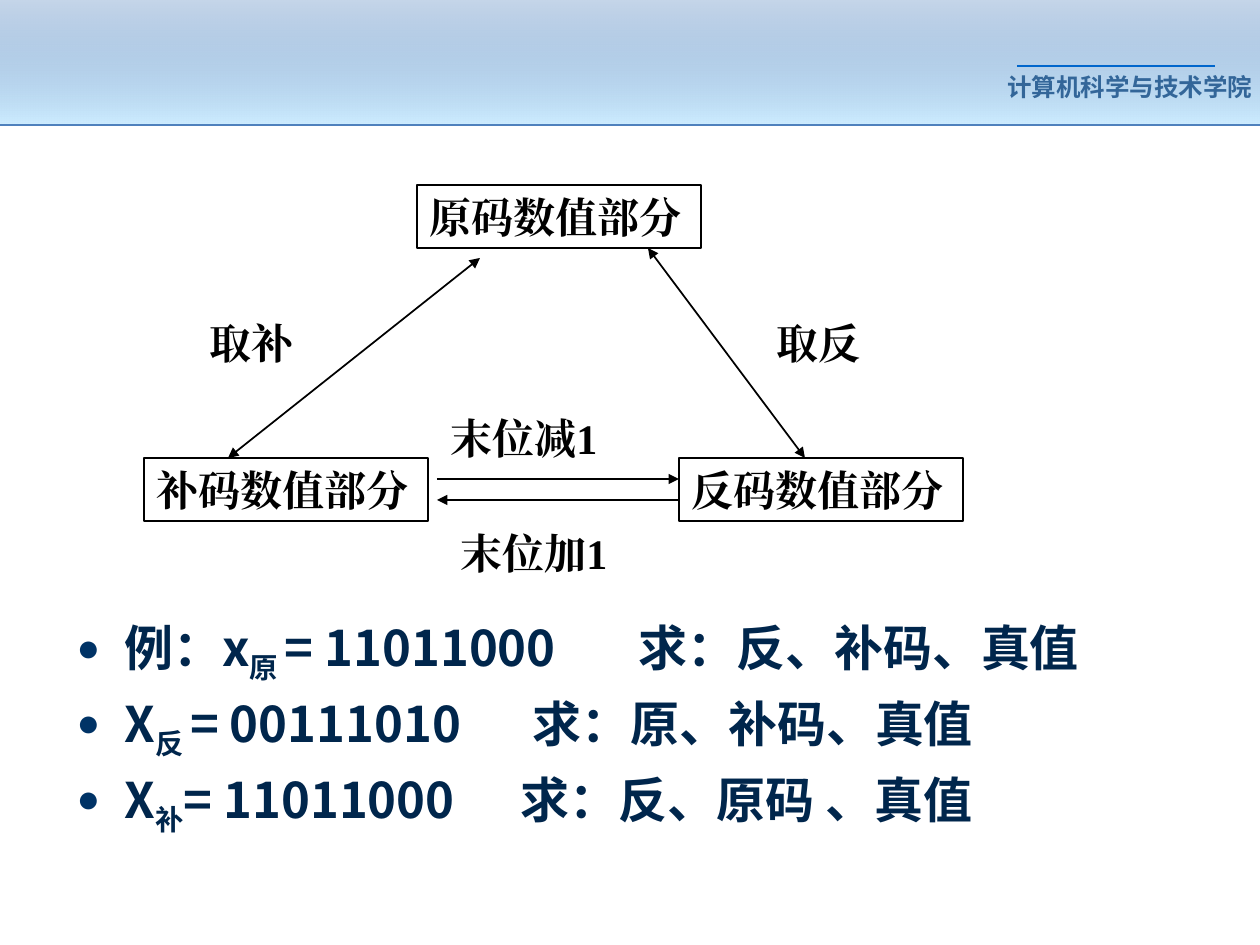
from dataclasses import dataclass

from lxml import etree
from pptx import Presentation
from pptx import util as u
from pptx.dml.color import RGBColor
from pptx.enum import shapes, text
from pptx.oxml.ns import qn

EMU_PER_PX = 914400 / 126


@dataclass(frozen=True)
class Theme:
    black: str = "000000"
    body: str = "00264C"
    bullet: str = "003366"
    school: str = "336699"
    school_rule: str = "0066CC"
    band_top: str = "4F81BD"
    band_bottom: str = "CCECFF"
    body_font: str = "Noto Sans CJK SC"
    label_font: str = "Times New Roman"
    school_font: str = "Arial"
    body_size: int = 28
    label_size: int = 24
    school_size: int = 14


T = Theme()


def px(n):
    return u.Emu(round(n * EMU_PER_PX))


def rgb(value):
    return RGBColor.from_string(value)


def sub(parent, tag, **attrs):
    return etree.SubElement(parent, qn(tag), {k: str(v) for k, v in attrs.items()})


def style(p, name, size, color):
    font = p.font
    font.size, font.bold = u.Pt(size), True
    font.color.rgb = rgb(color)
    font.name = name
    sub(font._element, "a:ea", typeface=name)


def add_header_band(s, w, h):
    sp = s.shapes.add_shape(shapes.MSO_SHAPE.RECTANGLE, 0, 0, px(w), px(h))
    sp.shadow.inherit = False
    sp.line.fill.background()
    sp.fill.gradient()
    sp.fill.gradient_angle = 270
    for stop, color, position in zip(sp.fill.gradient_stops, (T.band_top, T.band_bottom), (0, 1)):
        stop.color.rgb = rgb(color)
        stop.position = position
    sub(sp._element.spPr.find(".//" + qn("a:srgbClr")), "a:alpha", val=32000)


def add_line(s, x1, y1, x2, y2, color=T.black, width=1, ends=()):
    cx = s.shapes.add_connector(shapes.MSO_CONNECTOR.STRAIGHT, px(x1), px(y1), px(x2), px(y2))
    cx.line.color.rgb = rgb(color)
    cx.line.width = u.Pt(width)
    ln = cx.line._get_or_add_ln()
    for end in ends:
        sub(ln, f"a:{end}", type="triangle")
    sub(cx._element.spPr, "a:effectLst")


def write_label(sp, label, name, size, color, margin):
    tf = sp.text_frame
    tf.word_wrap = True
    tf.vertical_anchor = text.MSO_ANCHOR.TOP
    tf.margin_left = tf.margin_right = u.Inches(margin)
    p = tf.paragraphs[0]
    p.alignment = text.PP_ALIGN.LEFT
    p.add_run().text = label
    style(p, name, size, color)


def add_label(s, x, y, w, h, label, name=T.label_font, size=T.label_size,
              color=T.black, margin=0.1):
    sp = s.shapes.add_textbox(px(x), px(y), px(w), px(h))
    write_label(sp, label, name, size, color, margin)


def add_code_box(s, x, y, label):
    sp = s.shapes.add_shape(shapes.MSO_SHAPE.RECTANGLE, px(x), px(y), px(284), px(63))
    sp.shadow.inherit = False
    sp.fill.background()
    sp.line.color.rgb = rgb(T.black)
    sp.line.width = u.Pt(1)
    write_label(sp, label, T.label_font, T.label_size, T.black, 0.1)


def add_exercise(p, variable, code, value, question, tab, first):
    p.line_spacing = 0.95
    p.space_before = u.Pt(0 if first else 7)
    pPr = p._p.get_or_add_pPr()
    pPr.set("marL", str(px(48)))
    pPr.set("indent", str(-px(48)))
    sub(sub(pPr, "a:buClr"), "a:srgbClr", val=T.bullet)
    sub(pPr, "a:buSzPct", val=80000)
    sub(pPr, "a:buFont", typeface=T.school_font)
    sub(pPr, "a:buChar", char="●")
    sub(sub(pPr, "a:tabLst"), "a:tab", pos=px(tab), algn="l")
    for words, baseline in ((variable, 0), (code, -25000), (f"= {value}\t{question}", 0)):
        r = p.add_run()
        r.text = words
        if baseline:
            r._r.get_or_add_rPr().set("baseline", str(baseline))
    style(p, T.body_font, T.body_size, T.body)


def add_exercises(s, exercises):
    sp = s.placeholders[1]
    sp.left, sp.top, sp.width, sp.height = px(64), px(611), px(1134), px(257)
    tf = sp.text_frame
    tf.auto_size = text.MSO_AUTO_SIZE.NONE
    for i, exercise in enumerate(exercises):
        p = tf.add_paragraph() if i else tf.paragraphs[0]
        add_exercise(p, *exercise, first=i == 0)


def main():
    prs = Presentation()
    prs.slide_width, prs.slide_height = px(1260), px(945)
    s = prs.slides.add_slide(prs.slide_layouts[1])
    title = s.shapes.title._element
    title.getparent().remove(title)

    add_header_band(s, 1260, 125)
    add_label(s, 1007, 66, 248, 43, "计算机科学与技术学院",
              T.school_font, T.school_size, T.school, 0)
    add_line(s, 1017, 66, 1215, 66, T.school_rule, 0.75)
    add_line(s, 0, 125, 1260, 125, T.band_top, 1.5)

    add_exercises(s, [
        ("例：x", "原 ", "11011000", "求：反、补码、真值", 562),
        ("X", "反 ", "00111010", "求：原、补码、真值", 456),
        ("X", "补", "11011000", "求：反、原码 、真值", 444),
    ])

    for x, y, label in ((417, 185, "原码数值部分"), (679, 458, "反码数值部分"),
                        (144, 458, "补码数值部分")):
        add_code_box(s, x, y, label)

    both, forward = ("headEnd", "tailEnd"), ("tailEnd",)
    for x1, y1, x2, y2, ends in ((648, 248, 805, 458, both), (480, 258, 228, 458, both),
                                 (437, 479, 679, 479, forward), (679, 500, 437, 500, forward)):
        add_line(s, x1, y1, x2, y2, ends=ends)

    for x, y, w, label in ((764, 311, 116, "取反"), (197, 311, 116, "取补"),
                           (438, 406, 189, "末位减1"), (448, 521, 189, "末位加1")):
        add_label(s, x, y, w, 63, label)

    prs.save("out.pptx")


if __name__ == "__main__":
    main()
